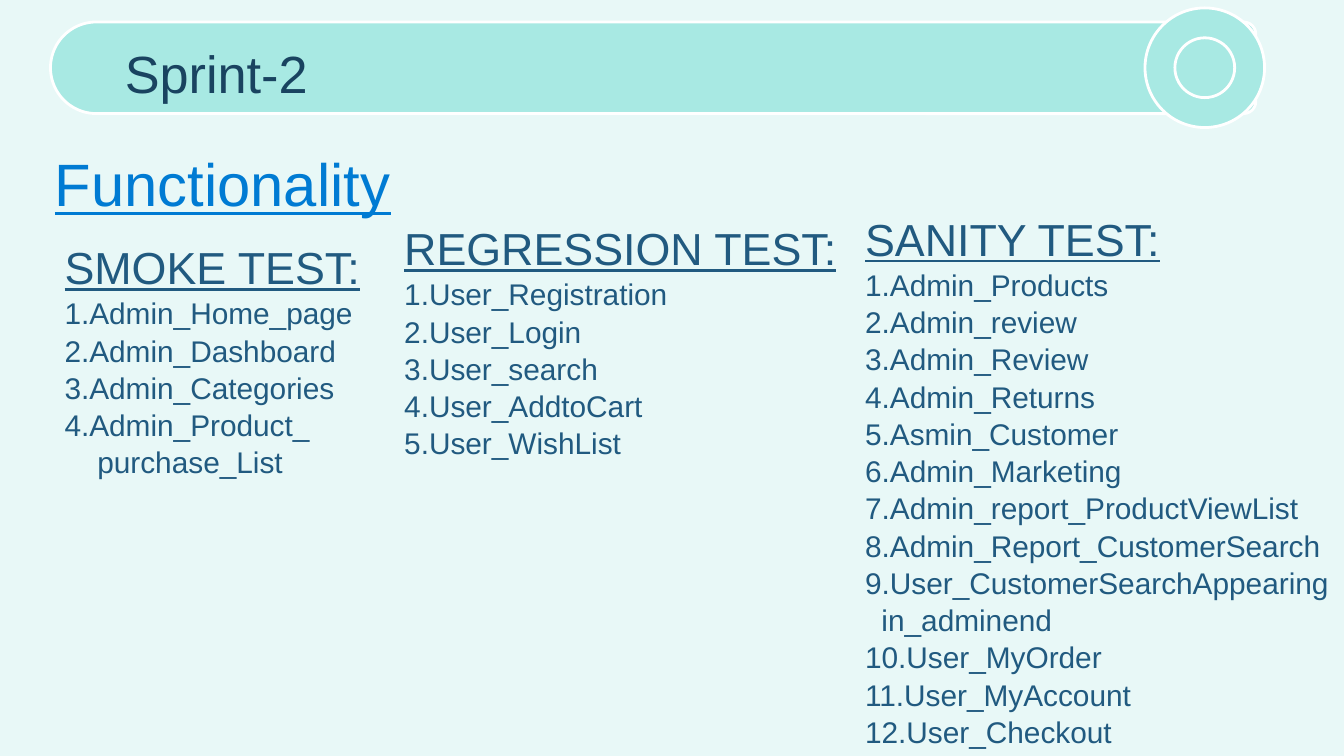
from dataclasses import dataclass

from pptx import Presentation
from pptx.dml.color import RGBColor
from pptx.enum.shapes import MSO_SHAPE
from pptx.enum.text import MSO_ANCHOR
from pptx.util import Cm, Pt

ROUND_TOP = MSO_SHAPE.ROUND_2_SAME_RECTANGLE
DONUT = MSO_SHAPE.DONUT
TOP = MSO_ANCHOR.TOP


@dataclass(frozen=True)
class Theme:
    background: str = "E8F8F7"
    accent: str = "A8E9E3"
    outline: str = "FFFFFF"
    title: str = "194360"
    section: str = "007BD3"
    body: str = "215A80"
    font: str = "Arial"
    title_size: int = 28
    section_size: int = 32
    heading_size: int = 24
    item_size: int = 16
    line_spacing: float = 1.04


def add_text(para, text, *, theme, size, color, underline=False, indent=0):
    para.line_spacing = theme.line_spacing
    if indent:
        properties = para._p.get_or_add_pPr()
        properties.set("marL", str(Cm(indent)))
        properties.set("indent", "0")
    span = para.add_run()
    span.text = text
    span.font.name = theme.font
    span.font.size = Pt(size)
    span.font.color.rgb = RGBColor.from_string(color)
    span.font.underline = underline


class SlideBuilder:
    def __init__(self, slide, theme):
        self.slide = slide
        self.theme = theme
        fill = slide.background.fill
        fill.solid()
        fill.fore_color.rgb = RGBColor.from_string(theme.background)

    def shape(self, kind, place, adjustments, rotation=0):
        shape = self.slide.shapes.add_shape(kind, *map(Cm, place))
        for index, value in enumerate(adjustments):
            shape.adjustments[index] = value
        shape.rotation = rotation
        shape.shadow.inherit = False
        shape.fill.solid()
        shape.fill.fore_color.rgb = RGBColor.from_string(self.theme.accent)
        shape.line.color.rgb = RGBColor.from_string(self.theme.outline)
        shape.line.width = Pt(1.5)

    def text_frame(self, place, top_margin=0.18):
        frame = self.slide.shapes.add_textbox(*map(Cm, place)).text_frame
        frame.word_wrap = True
        frame.vertical_anchor = TOP
        frame.margin_top = Cm(top_margin)
        return frame

    def label(self, place, text, **style):
        frame = self.text_frame(place)
        add_text(frame.paragraphs[0], text, theme=self.theme, **style)

    def test_list(self, place, heading, items):
        theme = self.theme
        # The top margin leaves room for the section title
        frame = self.text_frame(place, top_margin=2.2)
        add_text(frame.paragraphs[0], heading, theme=theme,
                 size=theme.heading_size, color=theme.body, underline=True)
        for text, indent in items:
            add_text(frame.add_paragraph(), text, theme=theme,
                     size=theme.item_size, color=theme.body, indent=indent)


def numbered(names, continuations):
    """Number the names; continuations maps a number to (text, indent in cm)."""
    items = []
    for number, name in enumerate(names, start=1):
        items.append((f"{number}.{name}", 0))
        if number in continuations:
            items.append(continuations[number])
    return items


COLUMN_WIDTH = 9.9
TEST_LISTS = [
    ("SMOKE TEST:", (0.97, 2.29, 7.44),
     ["Admin_Home_page", "Admin_Dashboard", "Admin_Categories",
      "Admin_Product_"],
     {4: ("purchase_List", 0.62)}),
    ("REGRESSION TEST:", (7.39, 1.93, 7.77),
     ["User_Registration", "User_Login", "User_search", "User_AddtoCart",
      "User_WishList"],
     {}),
    ("SANITY TEST:", (16.1, 1.75, 13.26),
     ["Admin_Products", "Admin_review", "Admin_Review", "Admin_Returns",
      "Asmin_Customer", "Admin_Marketing", "Admin_report_ProductViewList",
      "Admin_Report_CustomerSearch", "User_CustomerSearchAppearing",
      "User_MyOrder", "User_MyAccount", "User_Checkout"],
     {9: ("in_adminend", 0.31)}),
]


def main():
    theme = Theme()
    deck = Presentation()
    deck.slide_width, deck.slide_height = Cm(25.4), Cm(14.28)
    page = SlideBuilder(deck.slides.add_slide(deck.slide_layouts[6]), theme)

    # Title bar: an upright shape turned on its side
    page.shape(ROUND_TOP, (11.48, -10.11, 1.73, 22.78), (0.5, 0.134),
               rotation=270)
    page.label((2.11, 0.56, 16.51, 1.45), "Sprint-2",
               size=theme.title_size, color=theme.title)
    page.shape(DONUT, (21.64, 0.15, 2.26, 2.26), (0.25,))

    # Test columns
    for heading, (left, top, height), names, continuations in TEST_LISTS:
        page.test_list((left, top, COLUMN_WIDTH, height), heading,
                       numbered(names, continuations))

    # Section title
    page.label((0.79, 2.54, 16.51, 1.63), "Functionality",
               size=theme.section_size, color=theme.section, underline=True)

    deck.save("out.pptx")


if __name__ == "__main__":
    main()
